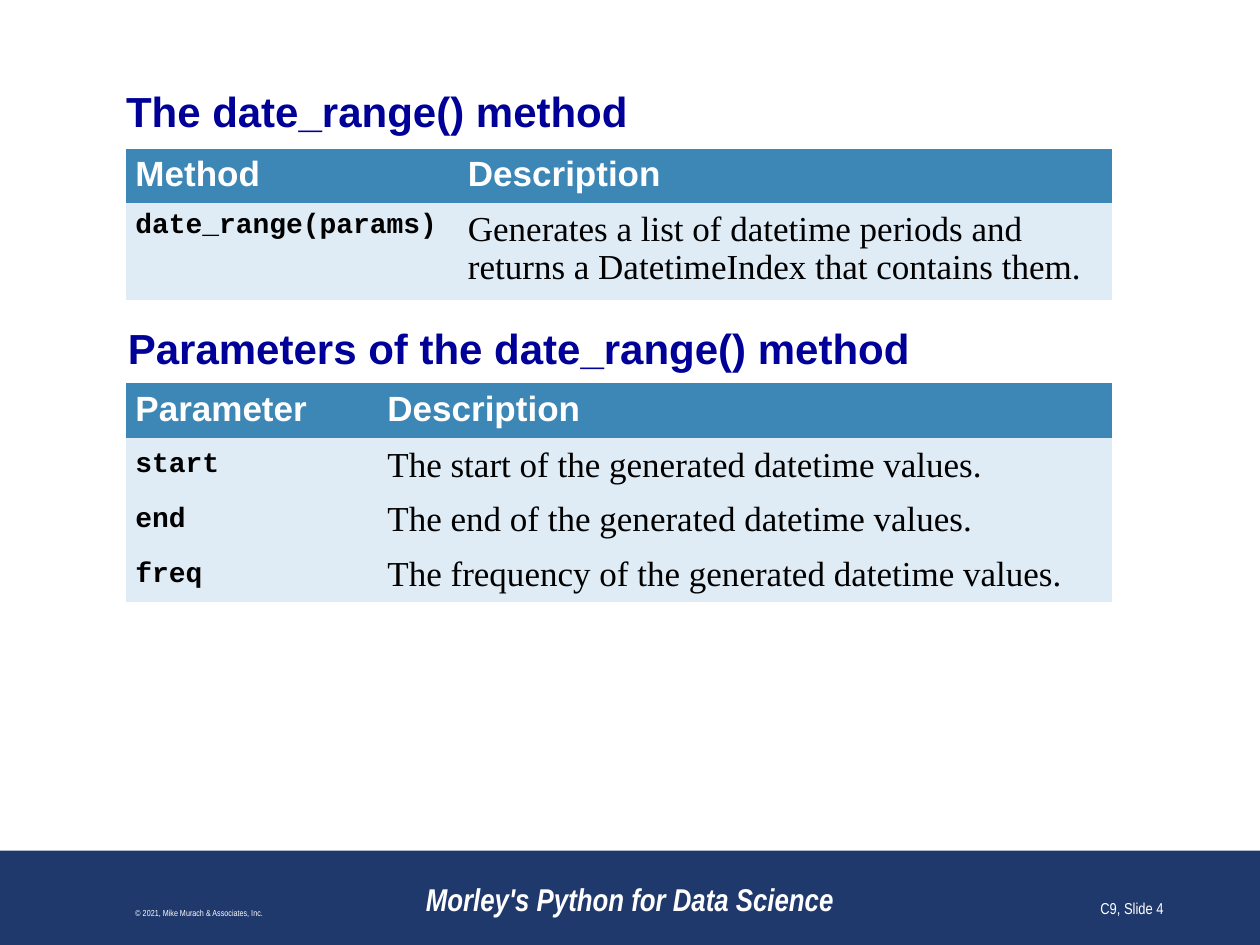
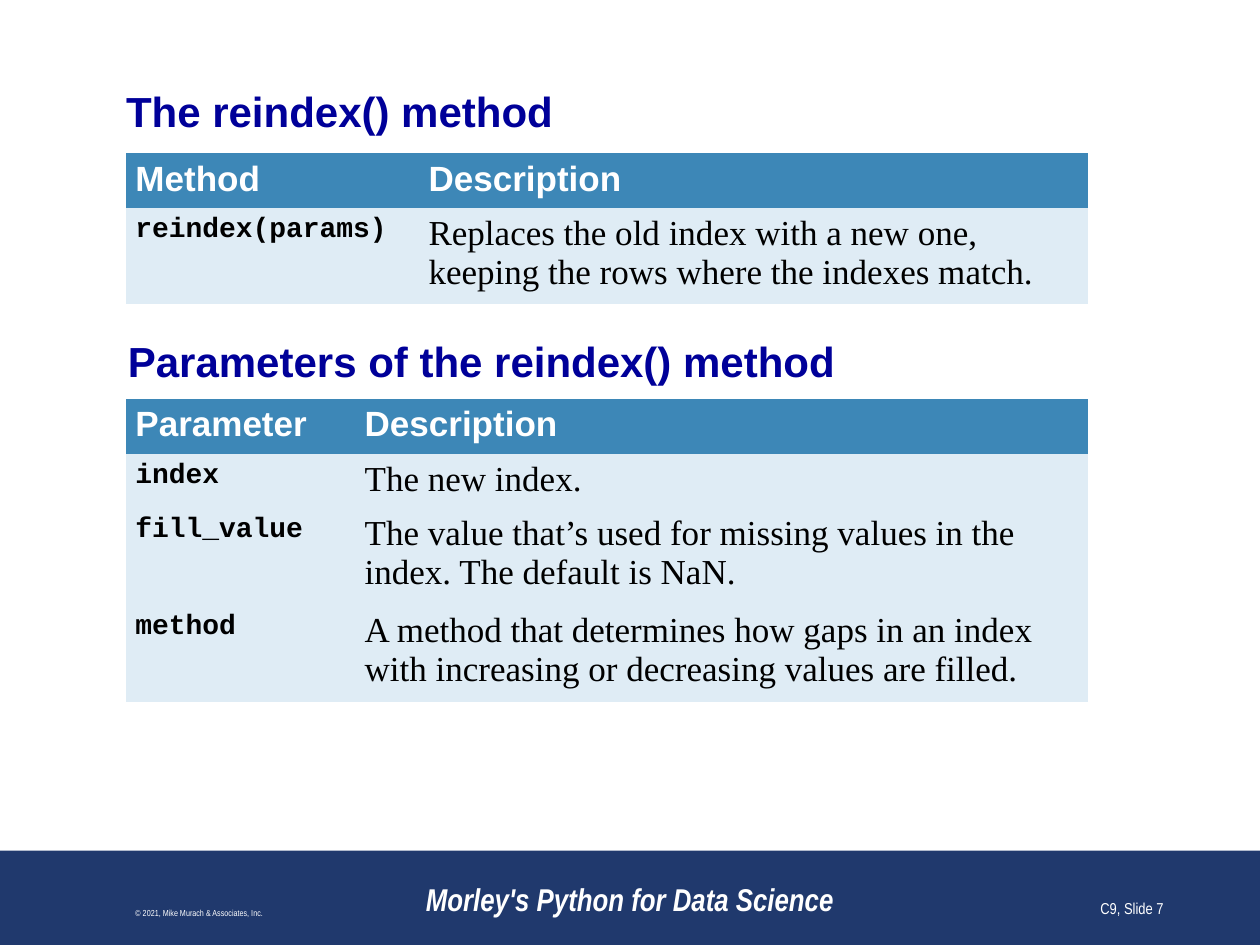
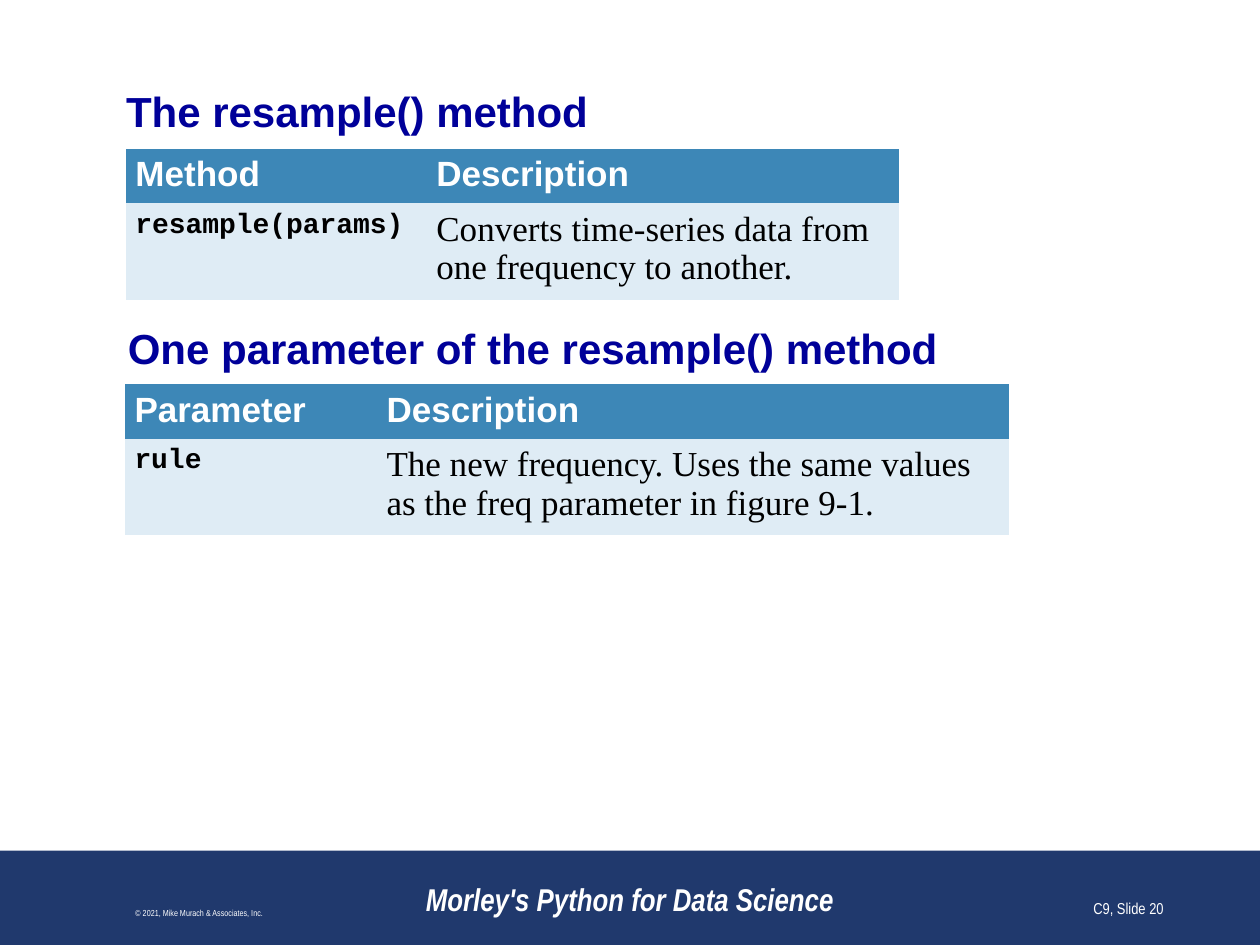
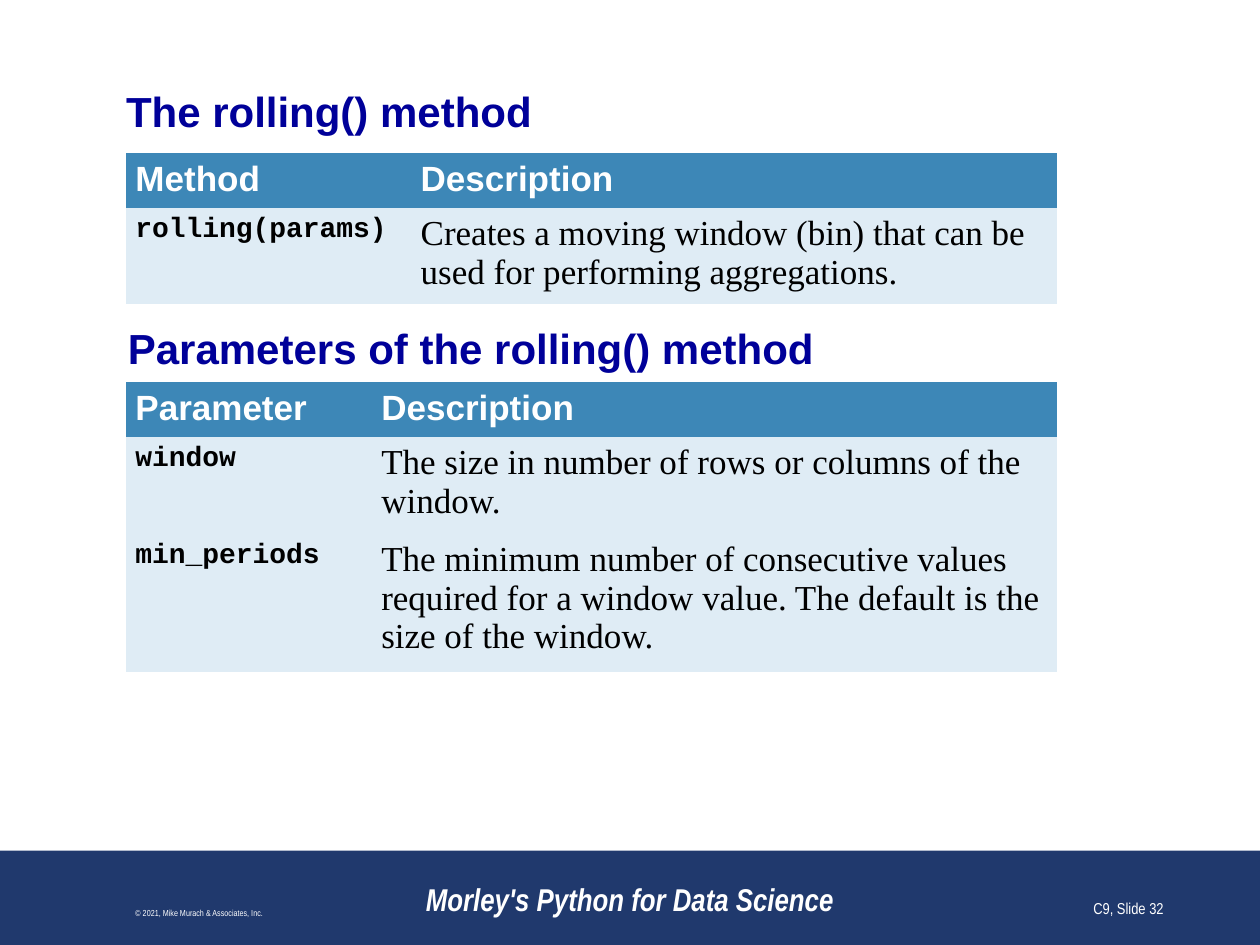
import pptx
import pptx.dml.color
import pptx.enum.shapes
import pptx.enum.text
import pptx.oxml.ns
import pptx.util

Pt = pptx.util.Pt
ALIGN = pptx.enum.text.PP_ALIGN
ANCHOR = pptx.enum.text.MSO_ANCHOR

COLORS = {
    "band": "20396D",
    "heading": "000099",
    "header": "3D87B7",
    "row": "DFECF5",
    "white": "FFFFFF",
    "black": "000000",
}
FORMATS = {
    "heading": {"name": "Arial", "size": Pt(24), "bold": True, "color": "heading"},
    "header": {"name": "Arial", "size": Pt(20), "bold": True, "color": "white"},
    "code": {"name": "Courier New", "size": Pt(16), "bold": True, "color": "black"},
    "description": {"name": "Times New Roman", "size": Pt(20), "bold": False, "color": "black"},
    "book": {"name": "Arial Narrow", "size": Pt(18), "bold": True, "italic": True, "color": "white"},
    "copyright": {"name": "Arial Narrow", "size": Pt(5), "color": "white"},
    "number": {"name": "Arial Narrow", "size": Pt(9), "color": "white"},
}
NO_STYLE_NO_GRID = "{2D5ABB26-0587-4C30-8999-92F81FD0307C}"
ROW_HEIGHT = 29.5
FOOTER_TOP, FOOTER_HEIGHT = 492, 36

SLIDES = [
    {
        "number": 4,
        "title": "The date_range() method",
        "heading": "Parameters of the date_range() method",
        "heading_box": (181, 36),
        "tables": [
            {"left": 72, "top": 85, "widths": (190, 373.5), "anchor": ANCHOR.TOP, "rows": [
                ("Method", "Description"),
                ("date_range(params)",
                 "Generates a list of datetime periods and returns a DatetimeIndex that contains them."),
            ]},
            {"left": 72, "top": 219, "widths": (144, 419.5), "anchor": ANCHOR.MIDDLE, "rows": [
                ("Parameter", "Description"),
                ("start", "The start of the generated datetime values."),
                ("end", "The end of the generated datetime values."),
                ("freq", "The frequency of the generated datetime values."),
            ]},
        ],
    },
    {
        "number": 7,
        "title": "The reindex() method",
        "heading": "Parameters of the reindex() method",
        "heading_box": (188, 29),
        "tables": [
            {"left": 72, "top": 87.5, "widths": (167.5, 382.5), "anchor": ANCHOR.TOP, "rows": [
                ("Method", "Description"),
                ("reindex(params)",
                 "Replaces the old index with a new one, keeping the rows where the indexes match."),
            ]},
            {"left": 72, "top": 228, "widths": (131, 419), "anchor": ANCHOR.TOP, "rows": [
                ("Parameter", "Description"),
                ("index", "The new index."),
                ("fill_value",
                 "The value that’s used for missing values in the index. The default is NaN."),
                ("method",
                 "A method that determines how gaps in an index with increasing or decreasing values are filled."),
            ]},
        ],
    },
    {
        "number": 20,
        "title": "The resample() method",
        "heading": "One parameter of the resample() method",
        "heading_box": (181, 36),
        "tables": [
            {"left": 72, "top": 85, "widths": (172, 270), "anchor": ANCHOR.TOP, "rows": [
                ("Method", "Description"),
                ("resample(params)", "Converts time-series data from one frequency to another."),
            ]},
            {"left": 71.5, "top": 219.5, "widths": (144, 361), "anchor": ANCHOR.TOP, "rows": [
                ("Parameter", "Description"),
                ("rule",
                 "The new frequency. Uses the same values as the freq parameter in figure 9-1."),
            ]},
        ],
    },
    {
        "number": 32,
        "title": "The rolling() method",
        "heading": "Parameters of the rolling() method",
        "heading_box": (181, 36),
        "tables": [
            {"left": 72, "top": 87.5, "widths": (163, 369), "anchor": ANCHOR.TOP, "rows": [
                ("Method", "Description"),
                ("rolling(params)",
                 "Creates a moving window (bin) that can be used for performing aggregations."),
            ]},
            {"left": 72, "top": 218.5, "widths": (140.5, 391.5), "anchor": ANCHOR.TOP, "rows": [
                ("Parameter", "Description"),
                ("window", "The size in number of rows or columns of the window."),
                ("min_periods",
                 "The minimum number of consecutive values required for a window value. "
                 "The default is the size of the window."),
            ]},
        ],
    },
]


def paint(item, color):
    item.fill.solid()
    item.fill.fore_color.rgb = pptx.dml.color.RGBColor.from_string(COLORS[color])


def write(text_frame, text, style, alignment=ALIGN.LEFT):
    """Fill the frame with one paragraph in a named format."""
    text_frame.word_wrap = True
    paragraph = text_frame.paragraphs[0]
    paragraph.alignment = alignment
    run = paragraph.add_run()
    run.text = text
    for attribute, value in FORMATS[style].items():
        if attribute == "color":
            run.font.color.rgb = pptx.dml.color.RGBColor.from_string(COLORS[value])
        else:
            setattr(run.font, attribute, value)


presentation = pptx.Presentation()
presentation.slide_width = Pt(720)
presentation.slide_height = Pt(540)
title_only = presentation.slide_layouts[5]

for content in SLIDES:
    slide = presentation.slides.add_slide(title_only)

    band = slide.shapes.add_shape(
        pptx.enum.shapes.MSO_SHAPE.RECTANGLE, Pt(0), Pt(486), Pt(720), Pt(54))
    band.shadow.inherit = False
    paint(band, "band")
    band.line.fill.background()

    title = slide.shapes.title
    title.left, title.top, title.width, title.height = Pt(72), Pt(49), Pt(576), Pt(29)
    frame = title.text_frame
    frame.auto_size = pptx.enum.text.MSO_AUTO_SIZE.NONE
    frame.vertical_anchor = ANCHOR.MIDDLE
    for side in ("left", "top", "right", "bottom"):
        setattr(frame, f"margin_{side}", 0)
    write(frame, content["title"], "heading")

    heading_top, heading_height = content["heading_box"]
    heading = slide.shapes.add_textbox(Pt(66), Pt(heading_top), Pt(582), Pt(heading_height))
    paint(heading, "white")
    write(heading.text_frame, content["heading"], "heading")

    for layout in content["tables"]:
        rows, widths = layout["rows"], layout["widths"]
        shape = slide.shapes.add_table(
            len(rows), len(widths), Pt(layout["left"]), Pt(layout["top"]),
            Pt(sum(widths)), Pt(ROW_HEIGHT * len(rows)))
        next(shape.element.iter(pptx.oxml.ns.qn("a:tableStyleId"))).text = NO_STYLE_NO_GRID
        table = shape.table
        table.horz_banding = False
        for column, width in zip(table.columns, widths):
            column.width = Pt(width)
        for row_index, texts in enumerate(rows):
            styles = ("code", "description") if row_index else ("header", "header")
            for column_index, (text, style) in enumerate(zip(texts, styles)):
                cell = table.cell(row_index, column_index)
                paint(cell, "row" if row_index else "header")
                cell.margin_left = cell.margin_right = Pt(5.4)
                cell.vertical_anchor = layout["anchor"] if row_index else ANCHOR.TOP
                write(cell.text_frame, text, style)

    for left, width, text, style, alignment in (
        (216, 288, "Morley's Python for Data Science", "book", ALIGN.CENTER),
        (6, 216, "© 2021, Mike Murach & Associates, Inc.", "copyright", ALIGN.CENTER),
        (522, 150, f"C9, Slide {content['number']}", "number", ALIGN.RIGHT),
    ):
        footer = slide.shapes.add_textbox(Pt(left), Pt(FOOTER_TOP), Pt(width), Pt(FOOTER_HEIGHT))
        footer.text_frame.vertical_anchor = ANCHOR.BOTTOM
        write(footer.text_frame, text, style, alignment)

presentation.save("out.pptx")
